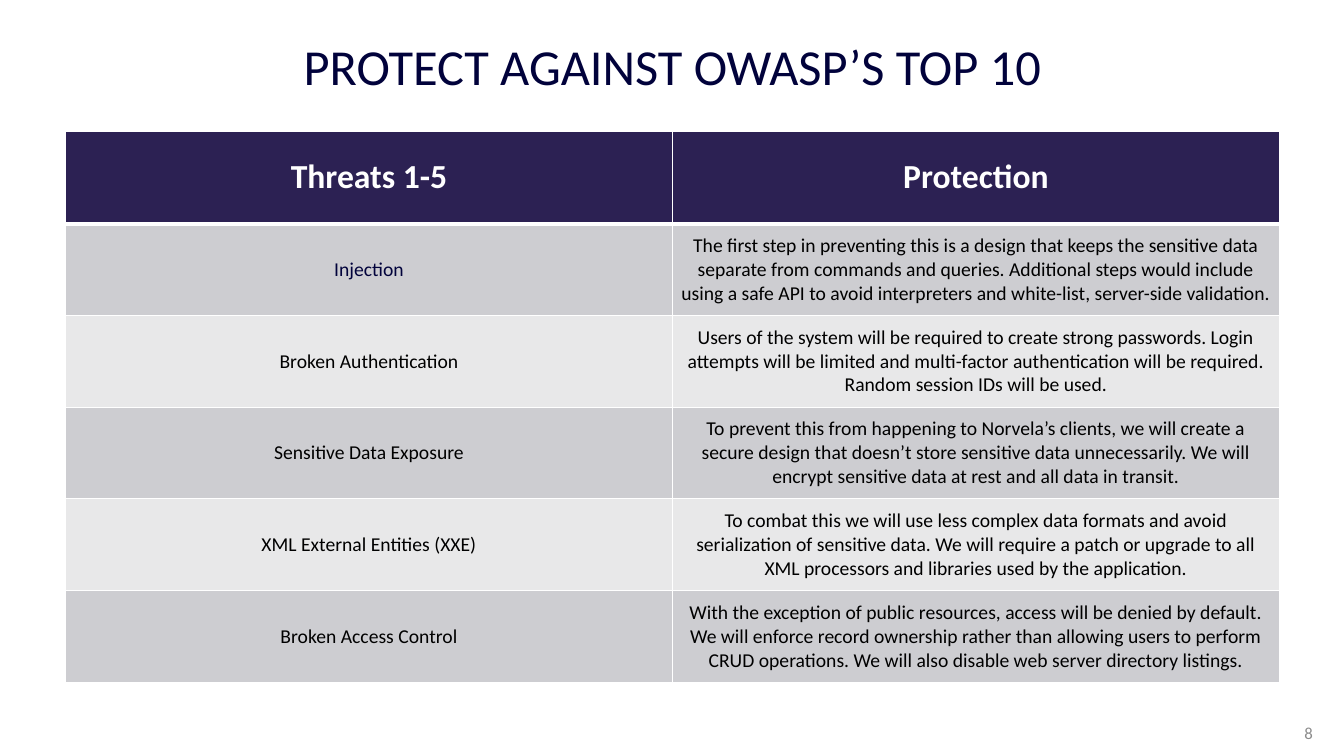
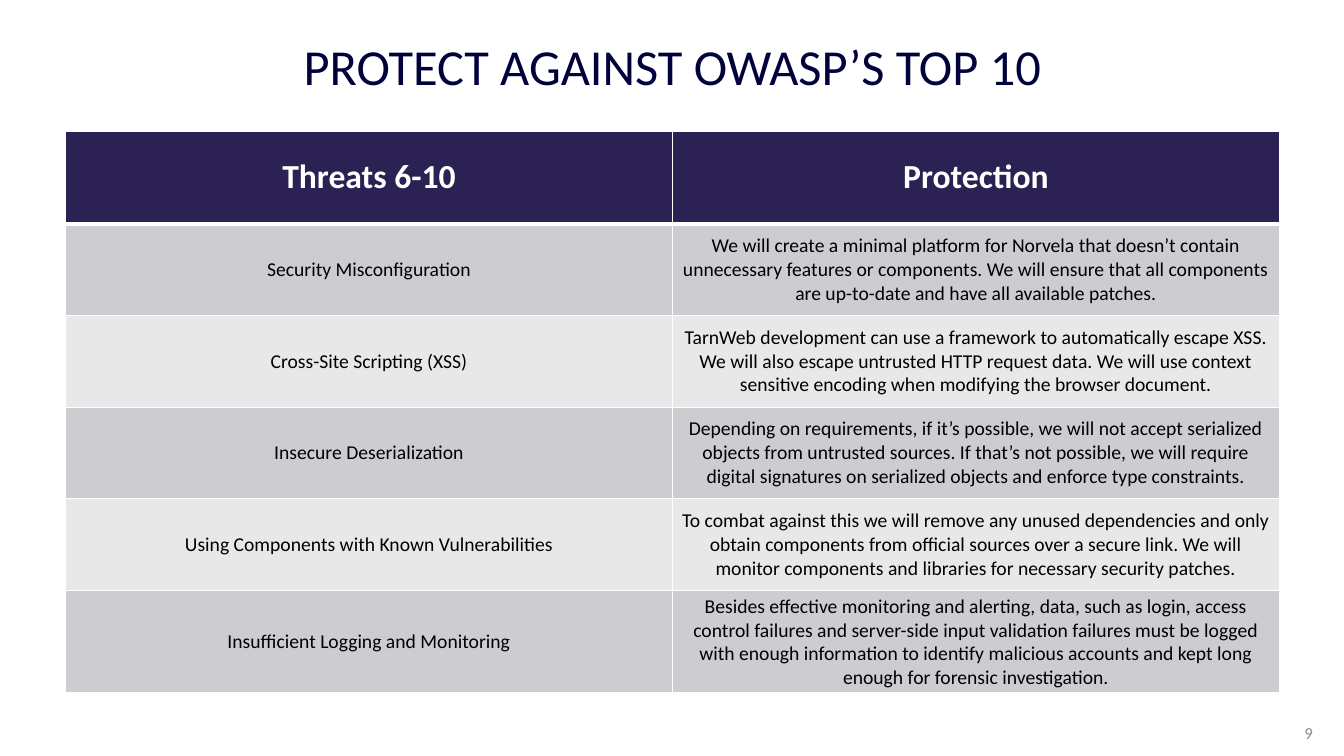
"""Build two slides of threat and protection tables."""
import dataclasses
import typing

import pptx
import pptx.dml.color
import pptx.enum.text
import pptx.oxml
import pptx.oxml.ns
import pptx.util

PX = 9144
FONT = "Calibri"
WHITE, BLACK, GREY = "FFFFFF", "000000", "8C8C8C"
INK, INDIGO = "01023B", "2C2153"
BANDS = ("CDCDD1", "E8E8E9")
LEFT, COLUMN = 65, 602
TITLE_HEIGHT = 130
HEADER_HEIGHT, ROW_HEIGHT = 92, 91
TITLE = "PROTECT AGAINST OWASP’S TOP 10"
ALIGN = pptx.enum.text.PP_ALIGN
MIDDLE = pptx.enum.text.MSO_ANCHOR.MIDDLE


@dataclasses.dataclass(frozen=True)
class Style:
    size: int
    color: str
    bold: bool = False


@dataclasses.dataclass(frozen=True)
class Threat:
    name: str
    protection: str
    color: str = BLACK


@dataclasses.dataclass(frozen=True)
class ThreatSlide:
    number: int
    heading: str
    threats: tuple[Threat, ...]


THREAT_SLIDES = (
    ThreatSlide(8, "Threats 1-5", (
        Threat("Injection",
               "The first step in preventing this is a design that keeps the sensitive data "
               "separate from commands and queries. Additional steps would include using a "
               "safe API to avoid interpreters and white-list, server-side validation.", INK),
        Threat("Broken Authentication",
               "Users of the system will be required to create strong passwords. Login "
               "attempts will be limited and multi-factor authentication will be required. "
               "Random session IDs will be used."),
        Threat("Sensitive Data Exposure",
               "To prevent this from happening to Norvela’s clients, we will create a secure "
               "design that doesn’t store sensitive data unnecessarily. We will encrypt "
               "sensitive data at rest and all data in transit."),
        Threat("XML External Entities (XXE)",
               "To combat this we will use less complex data formats and avoid serialization "
               "of sensitive data. We will require a patch or upgrade to all XML processors "
               "and libraries used by the application."),
        Threat("Broken Access Control",
               "With the exception of public resources, access will be denied by default. We "
               "will enforce record ownership rather than allowing users to perform CRUD "
               "operations. We will also disable web server directory listings."),
    )),
    ThreatSlide(9, "Threats 6-10", (
        Threat("Security Misconfiguration",
               "We will create a minimal platform for Norvela that doesn’t contain "
               "unnecessary features or components. We will ensure that all components are "
               "up-to-date and have all available patches."),
        Threat("Cross-Site Scripting (XSS)",
               "TarnWeb development can use a framework to automatically escape XSS. We will "
               "also escape untrusted HTTP request data. We will use context sensitive "
               "encoding when modifying the browser document."),
        Threat("Insecure Deserialization",
               "Depending on requirements, if it’s possible, we will not accept serialized "
               "objects from untrusted sources. If that’s not possible, we will require "
               "digital signatures on serialized objects and enforce type constraints."),
        Threat("Using Components with Known Vulnerabilities",
               "To combat against this we will remove any unused dependencies and only obtain "
               "components from official sources over a secure link. We will monitor "
               "components and libraries for necessary security patches."),
        Threat("Insufficient Logging and Monitoring",
               "Besides effective monitoring and alerting, data, such as login, access "
               "control failures and server-side input validation failures must be logged "
               "with enough information to identify malicious accounts and kept long enough "
               "for forensic investigation."),
    )),
)


def px(length: int) -> pptx.util.Emu:
    return pptx.util.Emu(length * PX)


def rgb(color: str) -> pptx.dml.color.RGBColor:
    return pptx.dml.color.RGBColor.from_string(color)


def write(frame: typing.Any, words: str, style: Style, align: ALIGN) -> None:
    paragraph = frame.paragraphs[0]
    paragraph.text = words
    paragraph.alignment = align
    font = paragraph.runs[0].font
    font.name = FONT
    font.size = pptx.util.Pt(style.size)
    font.bold = style.bold
    font.color.rgb = rgb(style.color)


def add_text(slide: typing.Any, box: tuple[int, int, int, int],
             words: str, style: Style, align: ALIGN) -> None:
    frame = slide.shapes.add_textbox(*map(px, box)).text_frame
    frame.word_wrap = True
    frame.vertical_anchor = MIDDLE
    write(frame, words, style, align)


def add_border(cell: typing.Any, side: str, points: int) -> None:
    properties = cell._tc.get_or_add_tcPr()
    properties.append(pptx.oxml.parse_xml(
        f'<a:ln{side} {pptx.oxml.ns.nsdecls("a")} w="{pptx.util.Pt(points)}">'
        f'<a:solidFill><a:srgbClr val="{WHITE}"/></a:solidFill></a:ln{side}>'))


def fill_cell(cell: typing.Any, words: str, style: Style, fill: str,
              top: int = 1, bottom: int = 1) -> None:
    for side, points in (("L", 1), ("R", 1), ("T", top), ("B", bottom)):
        add_border(cell, side, points)
    cell.fill.solid()
    cell.fill.fore_color.rgb = rgb(fill)
    cell.vertical_anchor = MIDDLE
    cell.margin_left = cell.margin_right = px(7)
    cell.margin_top = cell.margin_bottom = px(4)
    write(cell.text_frame, words, style, ALIGN.CENTER)


def add_threat_table(slide: typing.Any, content: ThreatSlide) -> None:
    count = len(content.threats)
    table = slide.shapes.add_table(
        count + 1, 2, px(LEFT), px(TITLE_HEIGHT), px(2 * COLUMN),
        px(HEADER_HEIGHT + count * ROW_HEIGHT)).table
    for column in table.columns:
        column.width = px(COLUMN)
    for index, row in enumerate(table.rows):
        row.height = px(ROW_HEIGHT if index else HEADER_HEIGHT)
    for column, heading in enumerate((content.heading, "Protection")):
        fill_cell(table.cell(0, column), heading, Style(24, WHITE, True), INDIGO, bottom=3)
    for index, threat in enumerate(content.threats):
        band = BANDS[index % 2]
        top = 1 if index else 3
        fill_cell(table.cell(index + 1, 0), threat.name, Style(14, threat.color), band, top)
        fill_cell(table.cell(index + 1, 1), threat.protection, Style(14, BLACK), band, top)


def main() -> None:
    deck = pptx.Presentation()
    deck.slide_width, deck.slide_height = px(1333), px(750)
    for content in THREAT_SLIDES:
        slide = deck.slides.add_slide(deck.slide_layouts[6])
        add_text(slide, (LEFT, 0, 2 * COLUMN, TITLE_HEIGHT),
                 TITLE, Style(36, INK), ALIGN.CENTER)
        add_threat_table(slide, content)
        add_text(slide, (1263, 707, 49, 40),
                 str(content.number), Style(12, GREY), ALIGN.RIGHT)
    deck.save("out.pptx")


if __name__ == "__main__":
    main()
